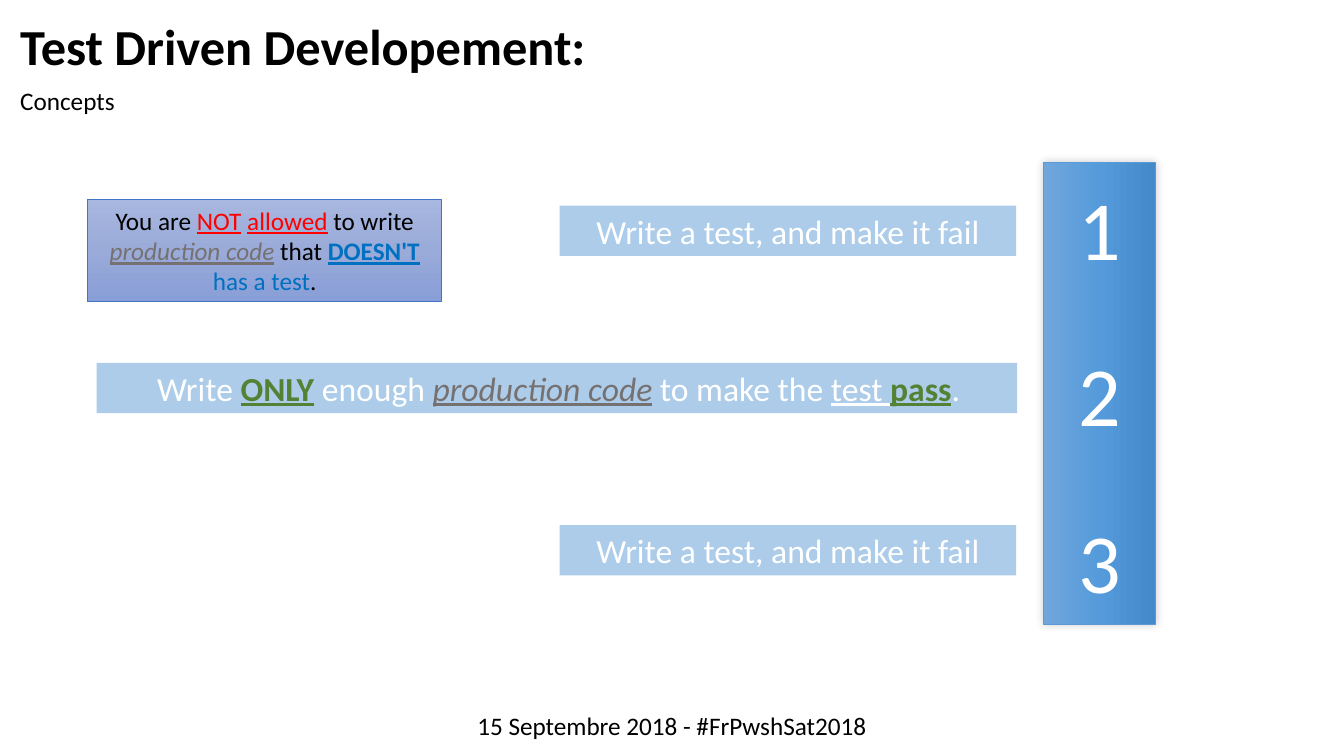
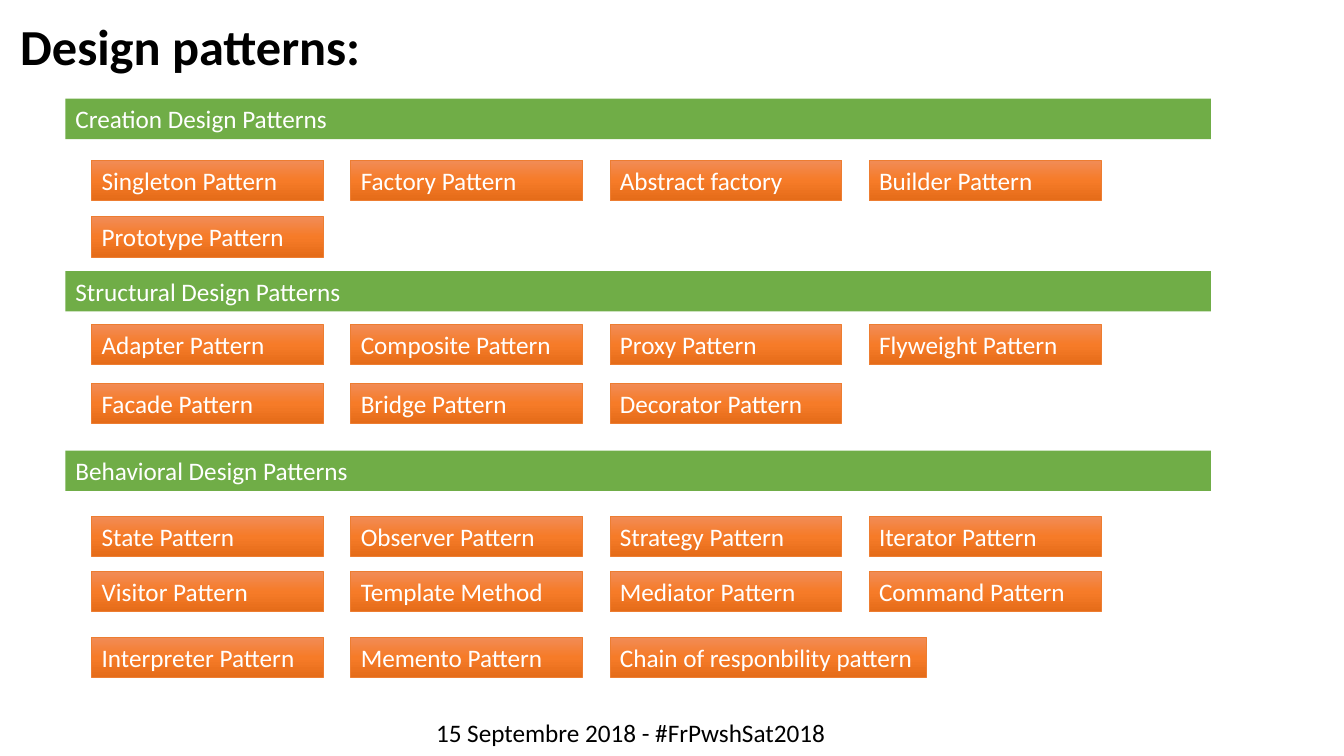
from dataclasses import dataclass

from pptx import Presentation
from pptx.dml.color import RGBColor
from pptx.enum.shapes import MSO_SHAPE as Preset
from pptx.enum.text import MSO_ANCHOR as Anchor, MSO_AUTO_SIZE as AutoSize, PP_ALIGN as Align
from pptx.oxml.ns import qn
from pptx.shapes.autoshape import Shape
from pptx.slide import Slide
from pptx.util import Inches, Pt
from lxml.etree import SubElement

FONT = "Calibri"
FOOTER = "15 Septembre 2018 - #FrPwshSat2018"
COLORS = {
    "black": "000000", "white": "FFFFFF", "red": "FF0000", "gray": "767171",
    "blue": "0070C0", "dark_green": "548235", "green": "70AD47",
    "bar": "5B9BD5", "note_line": "4472C4", "chip_line": "ED7D31",
}
GRADIENTS = {
    "column": ("71A6DB", "559BDB", "448ACA"),
    "note": ("A8B7DF", "9AABD9", "889ED7"),
    "chip": ("F18C57", "F67B28", "E56C19"),
}


@dataclass(frozen=True)
class Box:
    left: float
    top: float
    width: float
    height: float

    def lengths(self) -> tuple:
        return tuple(Inches(value) for value in (self.left, self.top, self.width, self.height))


@dataclass(frozen=True)
class TextRun:
    text: str
    color: str = "white"
    bold: bool = False
    italic: bool = False
    underline: bool = False


@dataclass(frozen=True)
class Step:
    box: Box
    runs: tuple[TextRun, ...]
    indent: float | None = None  # None centres the text


@dataclass(frozen=True)
class Section:
    name: str
    top: float
    row_tops: tuple[float, ...]
    patterns: tuple[str, ...]


def rgb(color: str) -> RGBColor:
    return RGBColor.from_string(COLORS[color])


# Text
def add_runs(paragraph, runs: tuple[TextRun, ...], size: float) -> None:
    for item in runs:
        run = paragraph.add_run()
        run.text = item.text
        font = run.font
        font.name, font.size = FONT, Pt(size)
        font.bold, font.italic, font.underline = item.bold, item.italic, item.underline
        font.color.rgb = rgb(item.color)


def write_text(shape: Shape, runs: tuple[TextRun, ...], size: float = 18,
               align: Align = Align.LEFT, indent: float = 0) -> None:
    frame = shape.text_frame
    frame.word_wrap = True
    frame.auto_size = AutoSize.NONE
    frame.vertical_anchor = Anchor.MIDDLE
    paragraph = frame.paragraphs[0]
    properties = paragraph._p.get_or_add_pPr()
    properties.set("marL", str(Inches(indent)))
    properties.set("indent", "0")
    SubElement(properties, qn("a:buNone"))
    paragraph.alignment = align
    paragraph.space_before = Pt(0)
    add_runs(paragraph, runs, size)


# Shapes
def add_rectangle(slide: Slide, box: Box, fill: str, opacity: int = 100) -> Shape:
    shape = slide.shapes.add_shape(Preset.RECTANGLE, *box.lengths())
    shape.shadow.inherit = False
    shape.line.fill.background()
    shape.fill.solid()
    shape.fill.fore_color.rgb = rgb(fill)
    if opacity < 100:
        color = shape._element.spPr.find(f"{qn('a:solidFill')}/{qn('a:srgbClr')}")
        SubElement(color, qn("a:alpha"), val=str(opacity * 1000))
    return shape


def add_gradient_rectangle(slide: Slide, box: Box, gradient: str, line: str,
                           angle: float = 270) -> Shape:
    shape = add_rectangle(slide, box, line)
    shape.fill.gradient()
    shape.fill.gradient_angle = angle
    stops = shape._element.spPr.find(f"{qn('a:gradFill')}/{qn('a:gsLst')}")
    for stop in list(stops):
        stops.remove(stop)
    for index, color in enumerate(GRADIENTS[gradient]):
        stop = SubElement(stops, qn("a:gs"), pos=str(index * 50000))
        SubElement(stop, qn("a:srgbClr"), val=color)
    shape.line.color.rgb = rgb(line)
    shape.line.width = Pt(0.5)
    return shape


def add_soft_shadow(shape: Shape, blur: float, opacity: int) -> None:
    effects = shape._element.spPr.find(qn("a:effectLst"))
    shadow = SubElement(effects, qn("a:outerShdw"), blurRad=str(Pt(blur)), dist="0",
                        dir="18900000", rotWithShape="0")
    color = SubElement(shadow, qn("a:srgbClr"), val=COLORS["black"])
    SubElement(color, qn("a:alpha"), val=str(opacity * 1000))


# Parts every slide shares
def fill_placeholder(shape: Shape, box: Box, text: str, size: float, bold: bool = False) -> None:
    shape.left, shape.top, shape.width, shape.height = box.lengths()
    write_text(shape, (TextRun(text, "black", bold),), size)


def add_slide(presentation, layout: int, title: str, footer: Box) -> Slide:
    slide = presentation.slides.add_slide(presentation.slide_layouts[layout])
    fill_placeholder(slide.shapes.title, Box(0.1, 0.1, 11.36, 0.71), title, 36, bold=True)
    footer_box = slide.shapes.add_textbox(*footer.lengths())
    write_text(footer_box, (TextRun(FOOTER, "black"),), align=Align.CENTER)
    return slide


# Slide 1: the three steps
FAILING_TEST = (TextRun("Write a test, and make it fail"),)
STEPS = (
    Step(Box(5.55, 2.04, 4.53, 0.5), FAILING_TEST),
    Step(Box(0.96, 3.6, 9.13, 0.5), (
        TextRun("Write "),
        TextRun("ONLY", "dark_green", bold=True, underline=True),
        TextRun(" enough "),
        TextRun("production code", "gray", italic=True, underline=True),
        TextRun(" to make the "),
        TextRun("test ", underline=True),
        TextRun("pass", "dark_green", bold=True, underline=True),
        TextRun("."),
    ), indent=0.5),
    Step(Box(5.55, 5.21, 4.53, 0.5), FAILING_TEST),
)
RULE = (
    TextRun("You are ", "black"),
    TextRun("NOT", "red", underline=True),
    TextRun(" ", "black"),
    TextRun("allowed", "red", underline=True),
    TextRun(" to write ", "black"),
    TextRun("production code", "gray", italic=True, underline=True),
    TextRun(" that ", "black"),
    TextRun("DOESN'T", "blue", bold=True, underline=True),
    TextRun(" has a test", "blue"),
    TextRun(".", "black"),
)


def build_concepts(presentation) -> None:
    slide = add_slide(presentation, 1, "Test Driven Developement:", Box(0, 7, 13.33, 0.4))
    fill_placeholder(slide.placeholders[1], Box(0.1, 0.8, 11.36, 0.4), "Concepts", 18)

    # Numbered column
    column = add_gradient_rectangle(slide, Box(10.35, 1.61, 1.11, 4.58), "column", "bar", angle=0)
    add_soft_shadow(column, blur=6, opacity=20)
    write_text(column, (TextRun("1"),), 60, Align.CENTER)
    for number in range(2, len(STEPS) + 1):
        paragraph = column.text_frame.add_paragraph()
        paragraph.alignment = Align.CENTER
        paragraph.space_before = Pt(47)
        add_runs(paragraph, (TextRun(str(number)),), 60)

    # Step bars
    for step in STEPS:
        bar = add_rectangle(slide, step.box, "bar", opacity=50)
        align = Align.CENTER if step.indent is None else Align.LEFT
        write_text(bar, step.runs, 24, align, step.indent or 0)

    # Rule note
    note = add_gradient_rectangle(slide, Box(0.87, 1.98, 3.51, 1.01), "note", "note_line")
    write_text(note, RULE, align=Align.CENTER)


# Slide 2: the pattern catalogue
COLUMNS, FIRST_LEFT, PITCH = 4, 0.91, 2.57
CHIP_WIDTH, WIDE_CHIP_WIDTH, ROW_HEIGHT = 2.3, 3.14, 0.4
WIDE_CHIP = "Chain of responbility pattern"
SECTIONS = (
    Section("Creation Design Patterns", 0.98, (1.59, 2.15), (
        "Singleton Pattern", "Factory Pattern", "Abstract factory", "Builder Pattern",
        "Prototype Pattern")),
    Section("Structural Design Patterns", 2.69, (3.22, 3.8), (
        "Adapter Pattern", "Composite Pattern", "Proxy Pattern", "Flyweight Pattern",
        "Facade Pattern", "Bridge Pattern", "Decorator Pattern")),
    Section("Behavioral Design Patterns", 4.47, (5.12, 5.67, 6.32), (
        "State Pattern", "Observer Pattern", "Strategy Pattern", "Iterator Pattern",
        "Visitor Pattern", "Template Method", "Mediator Pattern", "Command Pattern",
        "Interpreter Pattern", "Memento Pattern", WIDE_CHIP)),
)


def build_patterns(presentation) -> None:
    slide = add_slide(presentation, 5, "Design patterns:", Box(0, 7.07, 12.51, 0.4))
    for section in SECTIONS:
        band = add_rectangle(slide, Box(0.65, section.top, 11.36, ROW_HEIGHT), "green")
        write_text(band, (TextRun(section.name),))
        for index, name in enumerate(section.patterns):
            row, column = divmod(index, COLUMNS)
            width = WIDE_CHIP_WIDTH if name == WIDE_CHIP else CHIP_WIDTH
            box = Box(FIRST_LEFT + column * PITCH, section.row_tops[row], width, ROW_HEIGHT)
            chip = add_gradient_rectangle(slide, box, "chip", "chip_line")
            write_text(chip, (TextRun(name),))


def main() -> None:
    presentation = Presentation()
    presentation.slide_width = Inches(13.33)
    presentation.slide_height = Inches(7.5)
    build_concepts(presentation)
    build_patterns(presentation)
    presentation.save("out.pptx")


if __name__ == "__main__":
    main()
